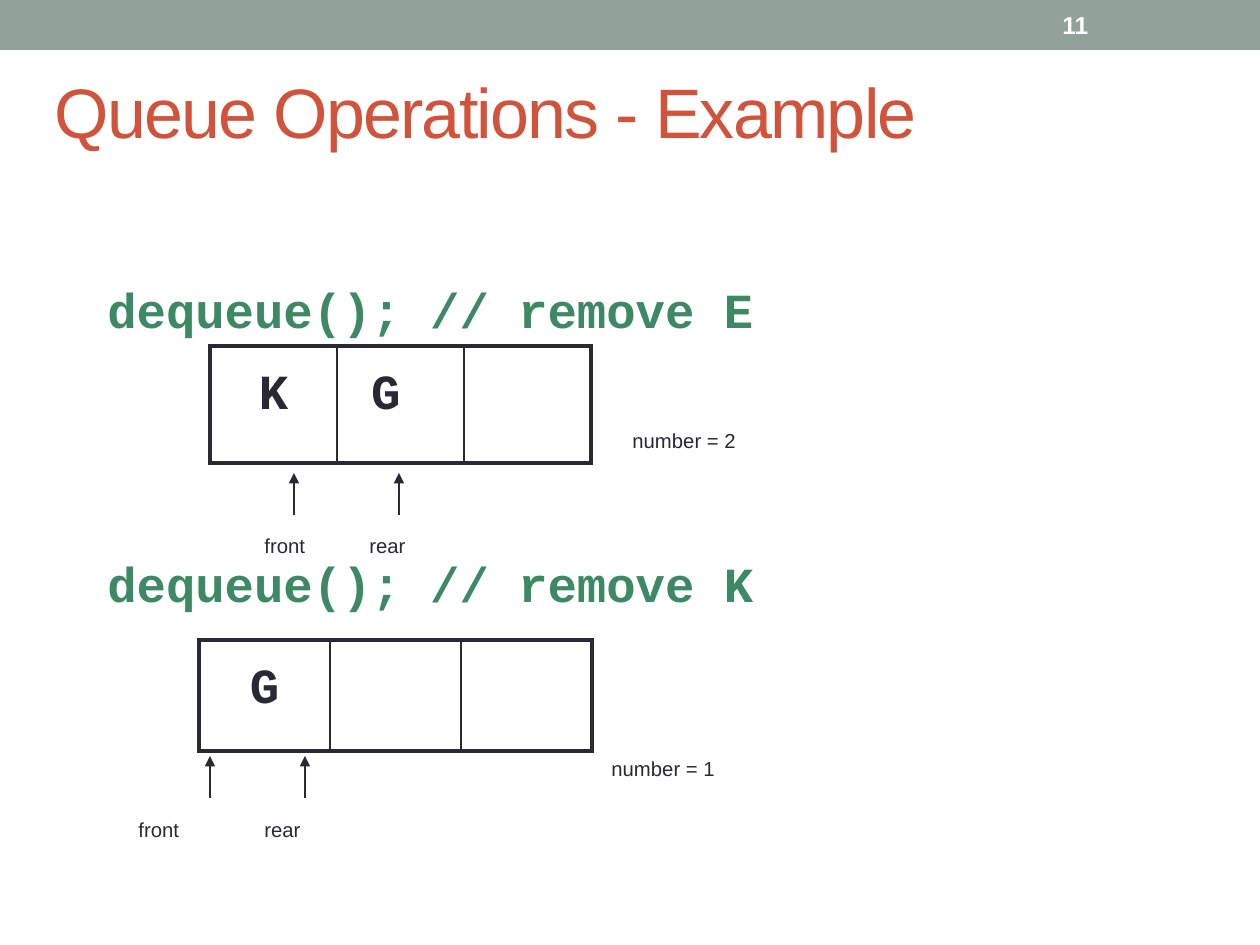
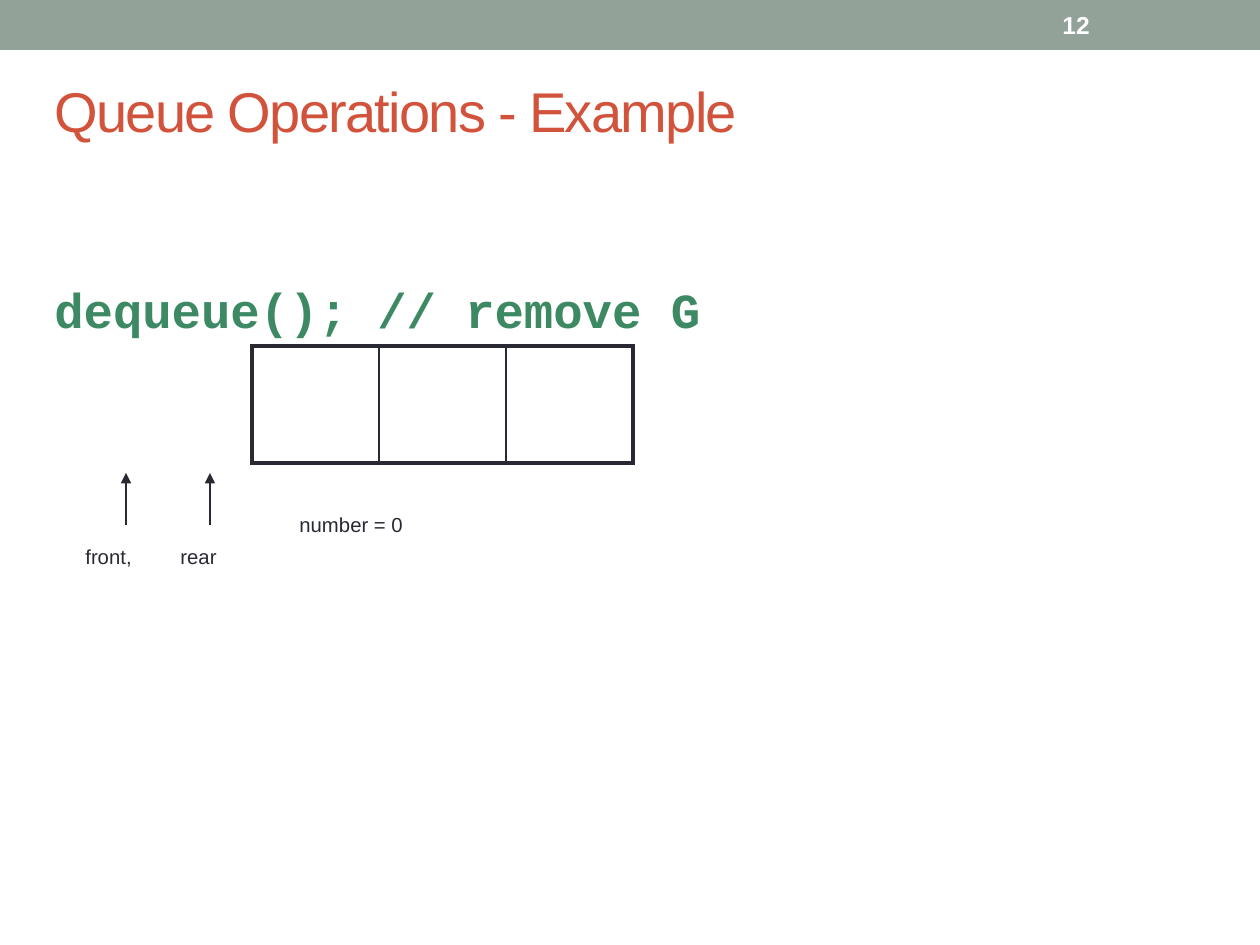
from dataclasses import dataclass

from lxml import etree
from pptx import Presentation
from pptx.dml.color import RGBColor
from pptx.enum.shapes import MSO_CONNECTOR, MSO_SHAPE
from pptx.enum.text import MSO_ANCHOR, PP_ALIGN
from pptx.oxml.ns import qn
from pptx.util import Pt

RECTANGLE = MSO_SHAPE.RECTANGLE
STRAIGHT = MSO_CONNECTOR.STRAIGHT
TOP, MIDDLE = MSO_ANCHOR.TOP, MSO_ANCHOR.MIDDLE
CENTER = PP_ALIGN.CENTER

TITLE = "Queue Operations - Example"
SLIDES = [
    {
        "number": "11",
        "title_size": 40,
        "steps": [
            {
                "code": ("dequeue(); // remove E", 95, 273),
                "queue": (["K", "G ", ""], 210, 346, 127, 117),
                "pointers": [(294, 473, 42), (399, 473, 42)],
                "labels": [("front", 252, 503, 96), ("rear", 357, 503, 87),
                           ("number = 2", 620, 399, 231)],
            },
            {
                "code": ("dequeue(); // remove K", 95, 547),
                "queue": (["G", "", ""], 199, 640, 131, 111),
                "pointers": [(210, 756, 42), (305, 756, 42)],
                "labels": [("front", 126, 788, 96), ("rear", 252, 788, 87),
                           ("number = 1", 599, 727, 231)],
            },
        ],
    },
    {
        "number": "12",
        "title_size": 32,
        "steps": [
            {
                "code": ("dequeue(); // remove G", 42, 273),
                "queue": (["", "", ""], 252, 346, 127, 117),
                "pointers": [(126, 473, 52), (210, 473, 52)],
                "labels": [("front,", 73, 514, 126), ("rear", 168, 514, 105),
                           ("number = 0", 287, 482, 231)],
            },
        ],
    },
]


@dataclass(frozen=True)
class Theme:
    band: str = "93A299"
    title: str = "D2533C"
    code: str = "3D8963"
    ink: str = "292934"
    paper: str = "FFFFFF"
    text_font: str = "Arial"
    code_font: str = "Courier New"
    code_size: int = 28
    label_size: int = 20
    number_size: int = 14
    outer_border: float = 2.25
    inner_border: float = 1
    pointer_width: float = 0.75


THEME = Theme()
EMU_PER_PX = 914400 / 126
SLIDE_WIDTH, SLIDE_HEIGHT = 1260, 945


def px(length):
    return round(length * EMU_PER_PX)


def box(*lengths):
    return [px(length) for length in lengths]


def color(value):
    return RGBColor.from_string(value)


def style_run(run, font, size, ink, bold=False):
    run.font.name = font
    run.font.size = Pt(size)
    run.font.color.rgb = color(ink)
    run.font.bold = bold


def add_text(slide, text, area, font, size, ink, bold=False, anchor=TOP):
    frame = slide.shapes.add_textbox(*box(*area)).text_frame
    frame.word_wrap = True
    frame.vertical_anchor = anchor
    frame.text = text
    run = frame.paragraphs[0].runs[0]
    style_run(run, font, size, ink, bold)
    return run


def add_frame(slide, number, title_size):
    band = slide.shapes.add_shape(RECTANGLE, *box(0, 0, SLIDE_WIDTH, 50))
    band.shadow.inherit = False
    band.fill.solid()
    band.fill.fore_color.rgb = color(THEME.band)
    band.line.fill.background()
    title = add_text(slide, TITLE, (42, 42, 1187, 137), THEME.text_font,
                     title_size, THEME.title, anchor=MIDDLE)
    title.font._element.set("spc", "-100")
    add_text(slide, number, (1050, 2, 147, 45), THEME.text_font,
             THEME.number_size, THEME.paper, bold=True, anchor=MIDDLE)


def set_border(cell, side, width):
    properties = cell._tc.get_or_add_tcPr()
    line = etree.SubElement(properties, qn(f"a:ln{side}"), w=str(Pt(width)))
    fill = etree.SubElement(line, qn("a:solidFill"))
    etree.SubElement(fill, qn("a:srgbClr"), val=THEME.ink)


def add_queue(slide, items, left, top, cell_width, height):
    count = len(items)
    area = box(left, top, cell_width * count, height)
    table = slide.shapes.add_table(1, count, *area).table
    table.first_row = False
    table.horz_banding = False
    for index, item in enumerate(items):
        table.columns[index].width = px(cell_width)
        cell = table.cell(0, index)
        outer, inner = THEME.outer_border, THEME.inner_border
        set_border(cell, "L", outer if index == 0 else inner)
        set_border(cell, "R", outer if index == count - 1 else inner)
        set_border(cell, "T", outer)
        set_border(cell, "B", outer)
        cell.fill.background()
        if item:
            cell.text_frame.text = item
            paragraph = cell.text_frame.paragraphs[0]
            paragraph.alignment = CENTER
            paragraph.line_spacing = 1.3
            style_run(paragraph.runs[0], THEME.code_font, THEME.code_size,
                      THEME.ink, bold=True)


def add_pointer(slide, x, tip, length):
    pointer = slide.shapes.add_connector(
        STRAIGHT, *box(x, tip + length, x, tip))
    pointer.line.color.rgb = color(THEME.ink)
    pointer.line.width = Pt(THEME.pointer_width)
    etree.SubElement(pointer.line._get_or_add_ln(), qn("a:tailEnd"),
                     type="triangle")
    etree.SubElement(pointer._element.spPr, qn("a:effectLst"))


def add_label(slide, text, left, top, width):
    run = add_text(slide, text, (left, top, width, 54), THEME.text_font,
                   THEME.label_size, THEME.ink)
    run.font._element.set("baseline", "-25000")


def add_step(slide, step):
    code, left, top = step["code"]
    add_text(slide, code, (left, top, 1081, 69), THEME.code_font,
             THEME.code_size, THEME.code, bold=True)
    add_queue(slide, *step["queue"])
    for pointer in step["pointers"]:
        add_pointer(slide, *pointer)
    for label in step["labels"]:
        add_label(slide, *label)


def main():
    presentation = Presentation()
    presentation.slide_width = px(SLIDE_WIDTH)
    presentation.slide_height = px(SLIDE_HEIGHT)
    blank = presentation.slide_layouts[6]
    for content in SLIDES:
        slide = presentation.slides.add_slide(blank)
        add_frame(slide, content["number"], content["title_size"])
        for step in content["steps"]:
            add_step(slide, step)
    presentation.save("out.pptx")


if __name__ == "__main__":
    main()
